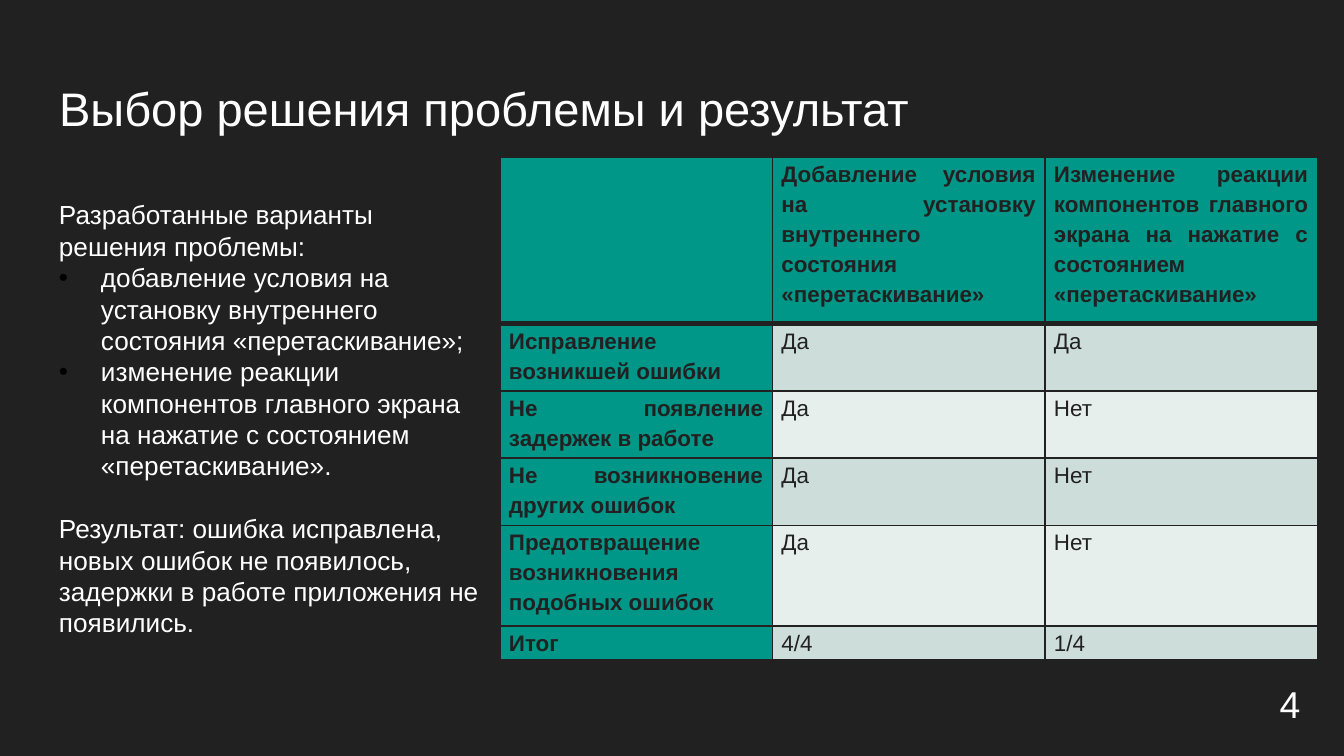
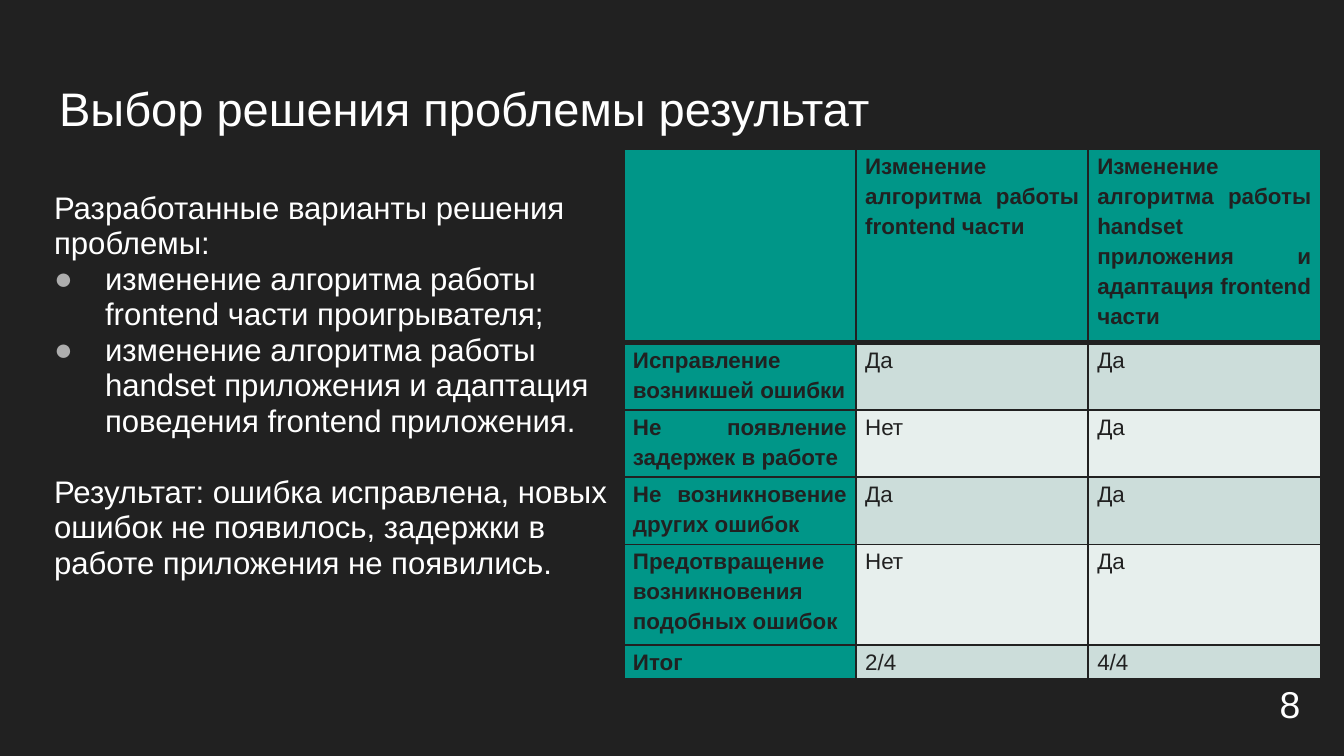
from dataclasses import dataclass

from lxml.etree import SubElement
from pptx import Presentation
from pptx.dml.color import RGBColor
from pptx.enum.text import MSO_ANCHOR, PP_ALIGN
from pptx.oxml.ns import qn
from pptx.util import Pt

CRITERIA = [
    "Исправление возникшей ошибки",
    "Не появление задержек в работе",
    "Не возникновение других ошибок",
    "Предотвращение возникновения подобных ошибок",
    "Итог",
]
INTRO = "Разработанные варианты решения проблемы:"
RESULT = ("Результат: ошибка исправлена, новых ошибок не появилось, "
          "задержки в работе приложения не появились.")

SLIDES = [
    dict(
        title="Выбор решения проблемы и результат",
        number="4",
        options=[
            "добавление условия на установку внутреннего состояния «перетаскивание»;",
            "изменение реакции компонентов главного экрана на нажатие с состоянием "
            "«перетаскивание».",
        ],
        body=dict(box=(24.5, 103, 243.4, 244.8), inset=(7.2, 3.6), size=14,
                  spacing=1, gap=16.8, left=0, hang=22.5,
                  bullet="•", bullet_color="000000"),
        heads=[
            "Добавление условия на установку внутреннего состояния «перетаскивание»",
            "Изменение реакции компонентов главного экрана на нажатие с состоянием "
            "«перетаскивание»",
        ],
        answers=[("Да", "Да"), ("Да", "Нет"), ("Да", "Нет"), ("Да", "Нет"),
                 ("4/4", "1/4")],
        table=dict(left=267.8, top=84.2, col=146, head=89.3),
    ),
    dict(
        title="Выбор решения проблемы результат",
        number="8",
        options=[
            "изменение алгоритма работы frontend части проигрывателя;",
            "изменение алгоритма работы handset приложения и адаптация поведения "
            "frontend приложения.",
        ],
        body=dict(box=(13.2, 95, 326.2, 269.3), inset=(7.2, 7.2), size=16.7,
                  spacing=0.95, gap=18.9, left=8.7, hang=27.3,
                  bullet="●", bullet_color="ADADAD"),
        heads=[
            "Изменение алгоритма работы frontend части",
            "Изменение алгоритма работы handset приложения и адаптация frontend части",
        ],
        answers=[("Да", "Да"), ("Нет", "Да"), ("Да", "Да"), ("Нет", "Да"),
                 ("2/4", "4/4")],
        table=dict(left=334.2, top=80, col=124.4, head=102.6),
    ),
]


@dataclass(frozen=True)
class Theme:
    """Colours, font and type sizes of the deck."""
    dark: str = "212121"
    light: str = "FFFFFF"
    accent: str = "009688"
    bands: tuple = ("CCDDDA", "E7EFED")
    font: str = "Arial"
    title_size: float = 25.2
    number_size: float = 20
    cell_size: float = 12
    line: float = 1
    head_line: float = 3


T = Theme()
SLIDE_SIZE = (720, 405)
TITLE_BOX = (24.5, 35.3, 671, 45.4)
NUMBER_BOX = (678.5, 357.8, 41.5, 38.9)
ROW_HEIGHTS = [36, 36, 36, 54, 18]


def rgb(color):
    """Turn a hex string into a colour."""
    return RGBColor.from_string(color)


def write(p, text, size, color=T.light, bold=False, align=PP_ALIGN.LEFT,
          spacing=1, before=0, after=0):
    """Put formatted text in a paragraph."""
    p.alignment, p.line_spacing = align, float(spacing)
    p.space_before, p.space_after = Pt(before), Pt(after)
    r = p.add_run()
    r.text = text
    r.font.name, r.font.size, r.font.bold = T.font, Pt(size), bold
    r.font.color.rgb = rgb(color)


def indent(p, left, hang=0, bullet=None, color=None):
    """Set a paragraph's indent and, if given, its bullet."""
    pPr = p._p.get_or_add_pPr()
    pPr.set("marL", str(Pt(left + hang)))
    pPr.set("indent", str(-Pt(hang)))
    if bullet:
        SubElement(SubElement(pPr, qn("a:buClr")), qn("a:srgbClr"), val=color)
        SubElement(pPr, qn("a:buFont"), typeface=T.font)
        SubElement(pPr, qn("a:buChar"), char=bullet)


def set_frame(sp, inset):
    """Give a shape's text frame wrapping, margins and a top anchor."""
    tf = sp.text_frame
    tf.word_wrap, tf.vertical_anchor = True, MSO_ANCHOR.TOP
    tf.margin_left = tf.margin_right = Pt(inset[0])
    tf.margin_top = tf.margin_bottom = Pt(inset[1])
    return tf


def add_box(s, box, inset=(7.2, 7.2)):
    """Add a text box and return its text frame."""
    return set_frame(s.shapes.add_textbox(*map(Pt, box)), inset)


def add_title(s, text):
    """Place and fill the title placeholder."""
    sp = s.shapes.title
    sp.left, sp.top, sp.width, sp.height = map(Pt, TITLE_BOX)
    tf = set_frame(sp, (7.2, 7.2))
    write(tf.paragraphs[0], text, T.title_size)


def add_body(s, options, body):
    """Add the intro, the bulleted options and the result."""
    tf = add_box(s, body["box"], body["inset"])
    lines = [INTRO, *options, RESULT]
    for i, text in enumerate(lines):
        p = tf.paragraphs[0] if i == 0 else tf.add_paragraph()
        write(p, text, body["size"], spacing=body["spacing"],
              before=body["gap"] if text == RESULT else 0)
        if text in options:
            indent(p, body["left"], body["hang"], body["bullet"],
                   body["bullet_color"])
        else:
            indent(p, body["left"])


def style_cell(cell, fill, bottom, top):
    """Set a cell's margins, borders and fill."""
    cell.margin_left = cell.margin_right = Pt(4.9)
    cell.margin_top = cell.margin_bottom = 0
    tcPr = cell._tc.get_or_add_tcPr()
    widths = dict(lnL=T.line, lnR=T.line, lnT=top, lnB=bottom)
    for side, width in widths.items():
        ln = SubElement(tcPr, qn("a:" + side), w=str(Pt(width)))
        SubElement(SubElement(ln, qn("a:solidFill")), qn("a:srgbClr"), val=T.dark)
    cell.fill.solid()
    cell.fill.fore_color.rgb = rgb(fill)


def add_comparison(s, heads, answers, left, top, col, head):
    """Add the table that rates each option by the criteria."""
    rows = [["", *heads]] + [[c, *a] for c, a in zip(CRITERIA, answers)]
    heights = [head, *ROW_HEIGHTS]
    n_cols = len(rows[0])
    table = s.shapes.add_table(len(rows), n_cols, Pt(left), Pt(top),
                               Pt(col * n_cols), Pt(sum(heights))).table
    table.horz_banding = False
    for column in table.columns:
        column.width = Pt(col)
    for i, (texts, height) in enumerate(zip(rows, heights)):
        table.rows[i].height = Pt(height)
        for j, text in enumerate(texts):
            cell, label = table.cell(i, j), i == 0 or j == 0
            style_cell(cell, T.accent if label else T.bands[(i - 1) % 2],
                       bottom=T.head_line if i == 0 else T.line,
                       top=T.head_line if i == 1 else T.line)
            if text:
                write(cell.text_frame.paragraphs[0], text, T.cell_size, T.dark,
                      bold=label, align=PP_ALIGN.JUSTIFY, spacing=1.2, after=7)


def main():
    """Build the deck."""
    prs = Presentation()
    prs.slide_width, prs.slide_height = map(Pt, SLIDE_SIZE)
    for data in SLIDES:
        s = prs.slides.add_slide(prs.slide_layouts[5])
        s.background.fill.solid()
        s.background.fill.fore_color.rgb = rgb(T.dark)
        add_title(s, data["title"])
        add_body(s, data["options"], data["body"])
        write(add_box(s, NUMBER_BOX).paragraphs[0], data["number"], T.number_size)
        add_comparison(s, data["heads"], data["answers"], **data["table"])
    prs.save("out.pptx")


main()
